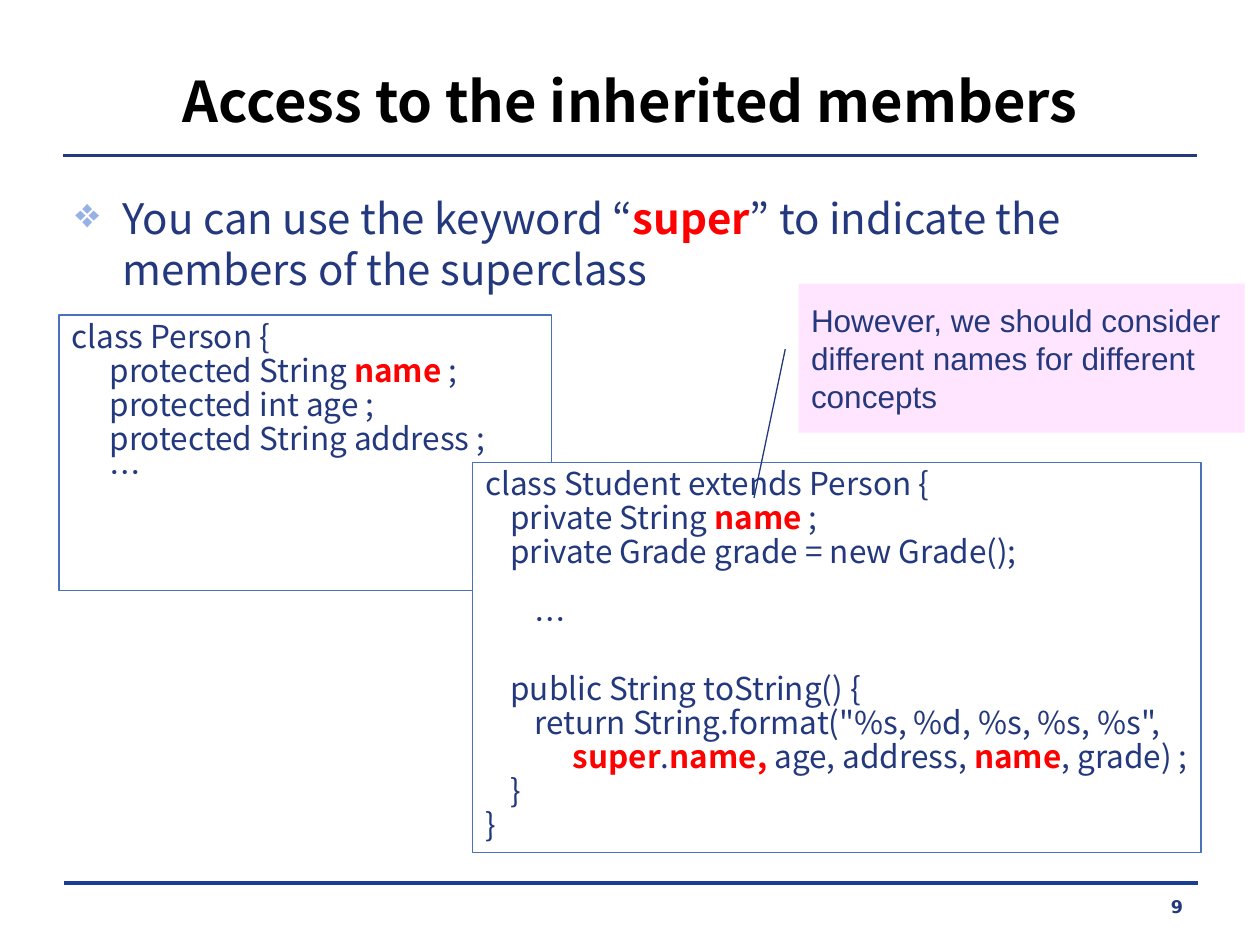
import pptx
import pptx.util
import pptx.dml.color
import pptx.enum.shapes
import pptx.enum.text
import pptx.oxml
import pptx.oxml.ns
from pptx.util import Cm, Pt

NAVY, RED, BLUE = "23387D", "FF0000", "4972BB"
SANS = "Noto Sans CJK KR"
ALIGN = pptx.enum.text.PP_ALIGN
ANCHOR = pptx.enum.text.MSO_ANCHOR
SHAPE = pptx.enum.shapes.MSO_SHAPE
NS = pptx.oxml.ns.nsdecls("a")

PERSON = [
    "class Person {",
    "\tprotected String *name* ;",
    "\tprotected int age ;",
    "\tprotected String address ;",
    "\t…",
]
STUDENT = [
    "class Student extends Person {",
    "\tprivate String *name* ;",
    "\tprivate Grade grade = new Grade();",
    "\t\t…",
    "\tpublic String toString() {",
    '\t\treturn String.format("%s, %d, %s, %s, %s",',
    "\t\t\t*super*.*name,* age, address, *name*, grade) ;",
    "\t}",
    "}",
]


def color(code):
    return pptx.dml.color.RGBColor.from_string(code)


def add_xml(node, text):
    node.append(pptx.oxml.parse_xml(text))


def write(frame, lines, size=18, font=SANS, ink=NAVY, bold=False, align=ALIGN.LEFT,
          anchor=ANCHOR.TOP, pitch=1.0, stops=(), gaps=(), bullet=None):
    frame.word_wrap = True
    frame.auto_size = pptx.enum.text.MSO_AUTO_SIZE.NONE
    frame.vertical_anchor = anchor
    for row, line in enumerate(lines):
        para = frame.add_paragraph() if row else frame.paragraphs[0]
        para.alignment = align
        para.line_spacing = pitch
        para.space_before = Pt(19.5 if row in gaps else 0)
        props = para._p.get_or_add_pPr()
        if bullet:
            props.set("marL", str(Cm(0.95)))
            props.set("indent", str(-Cm(0.95)))
            add_xml(props, f'<a:buClr {NS}><a:srgbClr val="96B1E6"/></a:buClr>')
            add_xml(props, f'<a:buChar {NS} char="{bullet}"/>')
        if stops:
            tabs = "".join(f'<a:tab pos="{Cm(stop)}" algn="l"/>' for stop in stops)
            add_xml(props, f"<a:tabLst {NS}>{tabs}</a:tabLst>")
        for part, text in enumerate(line.split("*")):
            if text:
                run = para.add_run()
                run.text = text
                run.font.name = font
                run.font.size = Pt(size)
                run.font.bold = bold or part % 2 == 1
                run.font.color.rgb = color(RED if part % 2 else ink)


def add_rule(slide, left, top, width, ink, weight):
    rule = slide.shapes.add_connector(
        pptx.enum.shapes.MSO_CONNECTOR.STRAIGHT,
        Cm(left), Cm(top), Cm(left + width), Cm(top))
    rule.line.color.rgb = color(ink)
    rule.line.width = Pt(weight)
    add_xml(rule._element.spPr, f"<a:effectLst {NS}/>")


def add_box(slide, kind, box, line, fill=None):
    shape = slide.shapes.add_shape(kind, *map(Cm, box))
    shape.shadow.inherit = False
    shape.line.color.rgb = color(line)
    shape.line.width = Pt(0.75)
    if fill:
        shape.fill.solid()
        shape.fill.fore_color.rgb = color(fill)
    else:
        shape.fill.background()
    return shape


def add_head(slide, left, top, width, height):
    title = slide.shapes.title
    title.left, title.top = Cm(left), Cm(top)
    title.width, title.height = Cm(width), Cm(height)
    write(title.text_frame, ["Access to the inherited members"], size=32,
          ink="000000", bold=True, align=ALIGN.CENTER, anchor=ANCHOR.MIDDLE)
    add_rule(slide, left, top + height, width, NAVY, 1.5)


def add_point(slide, left, top, width, height):
    point = slide.shapes.add_textbox(Cm(left), Cm(top), Cm(width), Cm(height))
    write(point.text_frame,
          ["You can use the keyword “*super*” to indicate the members of the superclass"],
          size=24, bullet="❖")


def add_code(slide, box, lines, stops, fill=None, gaps=()):
    shape = add_box(slide, SHAPE.RECTANGLE, box, BLUE, fill)
    write(shape.text_frame, lines, pitch=0.9, stops=stops, gaps=gaps)


def add_note(slide, box):
    note = add_box(slide, SHAPE.LINE_CALLOUT_1_NO_BORDER, box, NAVY, "FF9BFF")
    for index, value in enumerate((0.44, -0.03, 1.44, -0.1)):
        note.adjustments[index] = value
    tint = note._element.spPr.find(".//" + pptx.oxml.ns.qn("a:srgbClr"))
    add_xml(tint, f'<a:alpha {NS} val="26000"/>')
    write(note.text_frame,
          ["However, we should consider different names for different concepts"],
          font="Arial", anchor=ANCHOR.MIDDLE)


def add_foot(slide, left, top, width):
    add_rule(slide, left, top, width, "1A3D97", 0)
    page = slide.shapes.add_textbox(
        Cm(left + width - 5.85), Cm(top + 0.13), Cm(5.79), Cm(0.61))
    write(page.text_frame, ["9"], size=10, font="DejaVu Sans", bold=True,
          align=ALIGN.RIGHT)


def main():
    deck = pptx.Presentation()
    deck.slide_width, deck.slide_height = Cm(25.4), Cm(19.05)
    slide = deck.slides.add_slide(deck.slide_layouts[5])
    add_foot(slide, 1.3, 17.8, 22.86)
    add_head(slide, 1.28, 0.89, 22.86, 2.24)
    add_point(slide, 1.27, 3.76, 22.86, 2.34)
    add_code(slide, (1.19, 6.35, 9.93, 5.56), PERSON, (0.77,))
    add_code(slide, (9.53, 9.32, 14.68, 7.87), STUDENT, (0.51, 1.0, 1.77),
             fill="FFFFFF", gaps=(3, 4))
    add_note(slide, (16.1, 5.72, 8.99, 3))
    deck.save("out.pptx")


if __name__ == "__main__":
    main()
